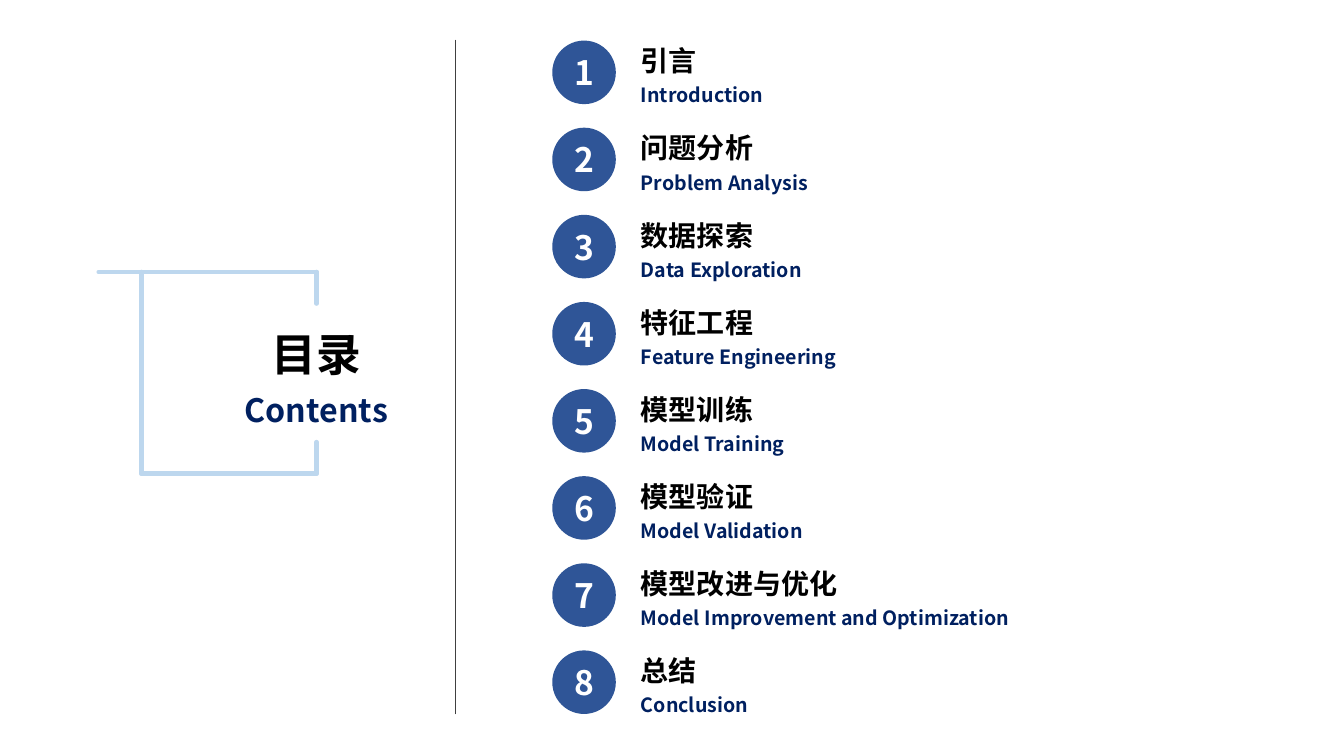
from lxml.etree import SubElement
from pptx import Presentation
from pptx.dml.color import RGBColor
from pptx.enum.shapes import MSO_CONNECTOR, MSO_SHAPE
from pptx.enum.text import MSO_ANCHOR, MSO_AUTO_SIZE, PP_ALIGN
from pptx.oxml.ns import qn
from pptx.util import Pt

COLORS = {
    "heading": "000000",
    "english": "002060",
    "badge": "2F5597",
    "number": "FFFFFF",
    "frame": "BDD7EE",
    "divider": "404040",
}
FONT = "Noto Sans CJK SC"
CHAPTERS = [
    ("引言", "Introduction"),
    ("问题分析", "Problem Analysis"),
    ("数据探索", "Data Exploration"),
    ("特征工程", "Feature Engineering"),
    ("模型训练", "Model Training"),
    ("模型验证", "Model Validation"),
    ("模型改进与优化", "Model Improvement and Optimization"),
    ("总结", "Conclusion"),
]


def color(name):
    """Return the named colour."""
    return RGBColor.from_string(COLORS[name])


def add_run(paragraph, text, size, color_name):
    """Add a bold run in the slide font."""
    run = paragraph.add_run()
    run.text = text
    run.font.size = Pt(size)
    run.font.bold = True
    run.font.color.rgb = color(color_name)
    run.font.name = FONT
    SubElement(run.font._element, qn("a:ea"), typeface=FONT)


def add_line(slide, start, end, color_name, width):
    """Draw a straight, round-capped line between two points."""
    line = slide.shapes.add_connector(
        MSO_CONNECTOR.STRAIGHT, *(Pt(value) for value in (*start, *end)))
    line.line.color.rgb = color(color_name)
    line.line.width = Pt(width)
    line.line._get_or_add_ln().set("cap", "rnd")
    SubElement(line._element.spPr, qn("a:effectLst"))


def add_bilingual(slide, box, texts, sizes, alignment, grow=False):
    """Place a Chinese heading above its English name."""
    shape = slide.shapes.add_textbox(*(Pt(value) for value in box))
    frame = shape.text_frame
    frame.word_wrap = True
    frame.auto_size = MSO_AUTO_SIZE.SHAPE_TO_FIT_TEXT if grow else MSO_AUTO_SIZE.NONE
    paragraphs = (frame.paragraphs[0], frame.add_paragraph())
    for paragraph, text, size, name in zip(paragraphs, texts, sizes, ("heading", "english")):
        paragraph.alignment = alignment
        paragraph.line_spacing = 1.25
        add_run(paragraph, text, size, name)


def add_title(slide, left, top, width, height):
    """Place the slide title inside its open frame."""
    right, bottom = left + width, top + height
    inner, gap = left + 30.5, 22.5
    add_bilingual(slide, (right - 77.8, top + 26, 155.5, 92.2),
                  ("目录", "Contents"), (32, 23), PP_ALIGN.CENTER)
    for start, end in (
        ((left, top), (right, top)),
        ((inner, bottom), (right, bottom)),
        ((inner, top), (inner, bottom)),
        ((right, top), (right, top + gap)),
        ((right, bottom - gap), (right, bottom)),
    ):
        add_line(slide, start, end, "frame", 3.25)


def add_badge(slide, left, top, diameter, number):
    """Draw a numbered circle."""
    badge = slide.shapes.add_shape(
        MSO_SHAPE.OVAL, Pt(left), Pt(top), Pt(diameter), Pt(diameter))
    badge.shadow.inherit = False
    badge.fill.solid()
    badge.fill.fore_color.rgb = color("badge")
    badge.line.fill.background()
    frame = badge.text_frame
    frame.word_wrap = False
    frame.vertical_anchor = MSO_ANCHOR.MIDDLE
    paragraph = frame.paragraphs[0]
    paragraph.alignment = PP_ALIGN.CENTER
    add_run(paragraph, str(number), 24, "number")


def add_chapters(slide, left, top, width, height):
    """Spread the numbered chapters evenly down the box."""
    diameter, text_offset = 45.4, 56.2
    pitch = (height - diameter) / (len(CHAPTERS) - 1)
    for index, names in enumerate(CHAPTERS):
        row_top = top + index * pitch
        add_badge(slide, left, row_top, diameter, index + 1)
        add_bilingual(slide, (left + text_offset, row_top - 7.2, width - text_offset, 56.9),
                      names, (20, 14), PP_ALIGN.LEFT, grow=True)


def main():
    """Build the contents slide."""
    presentation = Presentation()
    presentation.slide_width, presentation.slide_height = Pt(960), Pt(540)
    slide = presentation.slides.add_slide(presentation.slide_layouts[6])
    add_title(slide, 70.5, 194.3, 155.6, 144)
    add_line(slide, (325.4, 28.8), (325.4, 509.8), "divider", 0.5)
    add_chapters(slide, 394.5, 29, 465.2, 481)
    presentation.save("out.pptx")


if __name__ == "__main__":
    main()
